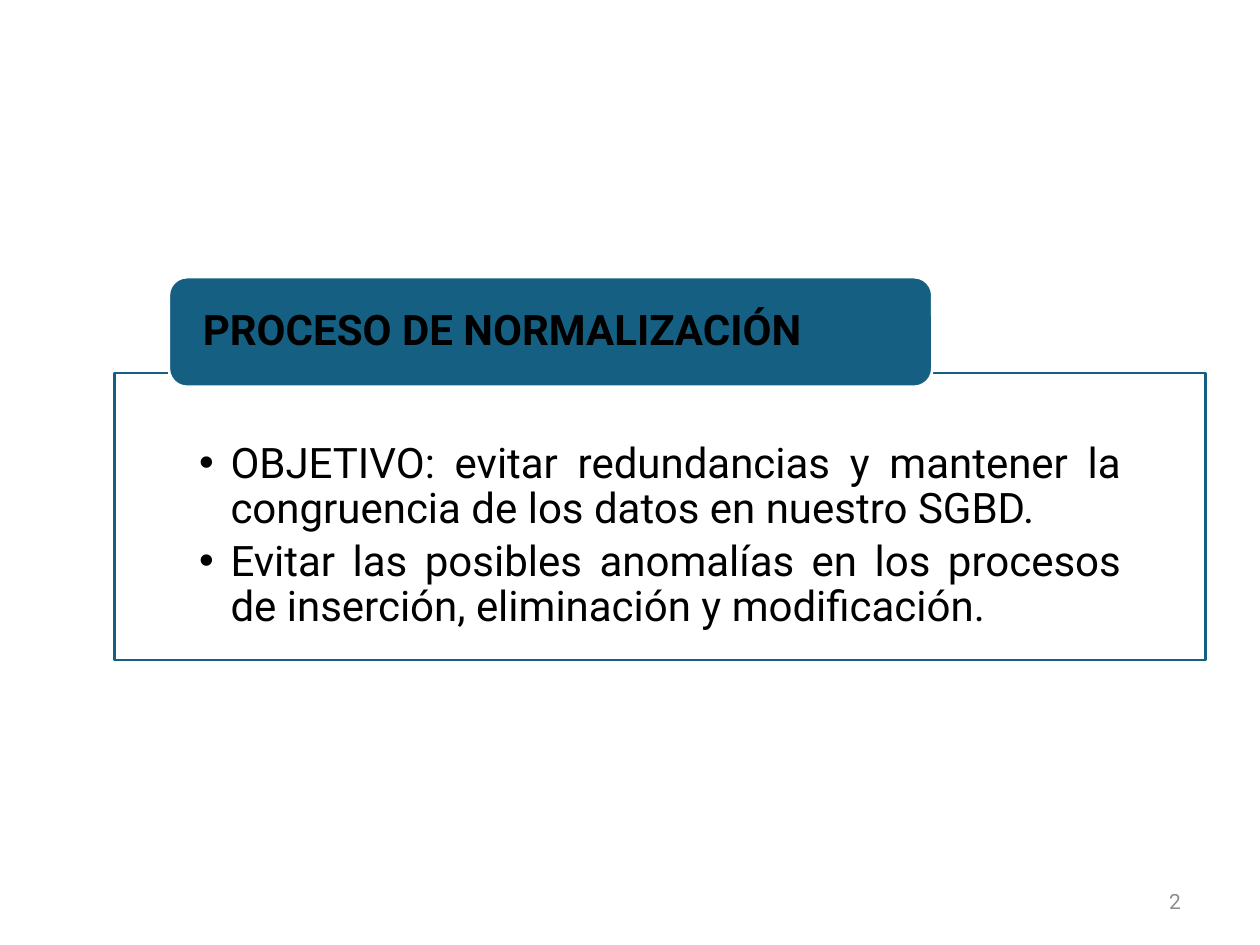
from lxml.etree import SubElement
from pptx import Presentation
from pptx.dml.color import RGBColor
from pptx.enum.shapes import MSO_SHAPE
from pptx.enum.text import MSO_ANCHOR, MSO_AUTO_SIZE, PP_ALIGN
from pptx.oxml.ns import qn
from pptx.util import Inches, Pt

BLUE = RGBColor(0x15, 0x60, 0x82)
WHITE = RGBColor(0xFF, 0xFF, 0xFF)
BLACK = RGBColor(0, 0, 0)
GRAY = RGBColor(0x8C, 0x8C, 0x8C)
FONT = "Roboto"

GOALS = [
    "OBJETIVO: evitar redundancias y mantener la congruencia de los datos en nuestro SGBD.",
    "Evitar las posibles anomalías en los procesos de inserción, eliminación y modificación.",
]


def place(shape, left, top, width, height):
    shape.left, shape.top = Inches(left), Inches(top)
    shape.width, shape.height = Inches(width), Inches(height)


def add_panel(slide, kind, box, fill, line, opacity=100):
    panel = slide.shapes.add_shape(kind, *map(Inches, box))
    panel.shadow.inherit = False
    panel.fill.solid()
    panel.fill.fore_color.rgb = fill
    panel.line.color.rgb = line
    panel.line.width = Pt(1.5)
    if opacity < 100:
        color = panel.fill._xPr.find(qn("a:solidFill")).find(qn("a:srgbClr"))
        SubElement(color, qn("a:alpha"), val=str(opacity * 1000))
    return panel


def add_bullet(paragraph, indent=0.25):
    properties = paragraph._p.get_or_add_pPr()
    properties.set("marL", str(Inches(indent)))
    properties.set("indent", str(-Inches(indent)))
    SubElement(properties, qn("a:buFont"), typeface="Arial")
    SubElement(properties, qn("a:buChar"), char="•")


def write(shape, lines, size=24, color=BLACK, bold=False, align=PP_ALIGN.LEFT,
          anchor=MSO_ANCHOR.MIDDLE, insets=(0.1, 0.05, 0.1, 0.05),
          bullets=False, spacing=0.9, after=0):
    """Fill a shape with paragraphs; insets are left, top, right, bottom in inches."""
    frame = shape.text_frame
    frame.word_wrap = True
    frame.auto_size = MSO_AUTO_SIZE.NONE
    frame.vertical_anchor = anchor
    (frame.margin_left, frame.margin_top,
     frame.margin_right, frame.margin_bottom) = map(Inches, insets)
    for index, line in enumerate(lines):
        paragraph = frame.add_paragraph() if index else frame.paragraphs[0]
        if bullets:
            add_bullet(paragraph)
        paragraph.alignment = align
        paragraph.line_spacing = spacing
        paragraph.space_before = Pt(0)
        paragraph.space_after = Pt(after)
        run = paragraph.add_run()
        run.text = line
        run.font.name = FONT
        run.font.size = Pt(size)
        run.font.bold = bold
        run.font.color.rgb = color


def add_heading(slide, text):
    """Show the slide title on a rounded tab above the goals."""
    add_panel(slide, MSO_SHAPE.ROUNDED_RECTANGLE, (1.34, 2.2, 6.06, 0.87), BLUE, WHITE)
    title = slide.shapes.title
    place(title, 1.38, 2.24, 5.98, 0.79)
    write(title, [text], bold=True, insets=(0.23, 0, 0.23, 0))
    slide.shapes._spTree.append(title._element)  # bring in front of the tab


def add_goals(slide, goals):
    panel = add_panel(slide, MSO_SHAPE.RECTANGLE, (0.91, 2.96, 8.66, 2.28),
                      WHITE, BLUE, opacity=90)
    write(panel, goals, align=PP_ALIGN.JUSTIFY, anchor=MSO_ANCHOR.TOP,
          insets=(0.67, 0.55, 0.67, 0.19), bullets=True, after=4)


def add_page_number(slide, number):
    page = slide.shapes.add_textbox(*map(Inches, (7.22, 6.95, 2.25, 0.4)))
    write(page, [number], size=12, color=GRAY, align=PP_ALIGN.RIGHT, spacing=1.0)


def main():
    presentation = Presentation()
    presentation.slide_width, presentation.slide_height = Inches(10), Inches(7.5)
    slide = presentation.slides.add_slide(presentation.slide_layouts[5])
    add_page_number(slide, "2")
    add_goals(slide, GOALS)
    add_heading(slide, "PROCESO DE NORMALIZACIÓN")
    presentation.save("out.pptx")


if __name__ == "__main__":
    main()
